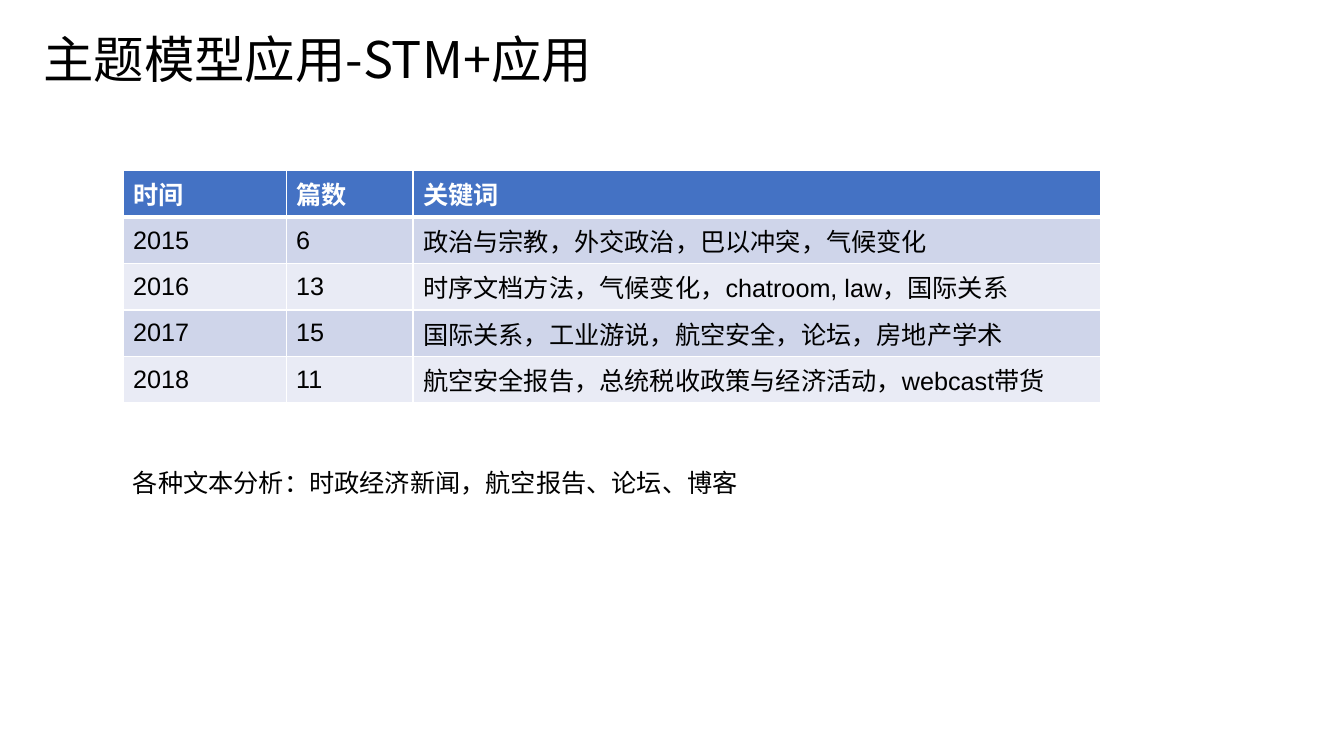
import lxml.etree
import pptx
import pptx.dml.color
import pptx.enum.text
import pptx.oxml.ns
import pptx.util

Cm = pptx.util.Cm
Pt = pptx.util.Pt
RGBColor = pptx.dml.color.RGBColor
qn = pptx.oxml.ns.qn
MIDDLE = pptx.enum.text.MSO_ANCHOR.MIDDLE

BLACK = RGBColor(0x00, 0x00, 0x00)
WHITE = RGBColor(0xFF, 0xFF, 0xFF)
HEADER_BLUE = RGBColor(0x44, 0x72, 0xC4)
BANDS = (RGBColor(0xCF, 0xD5, 0xEA), RGBColor(0xE9, 0xEB, 0xF5))

TOPICS = [
    ("时间", "篇数", "关键词"),
    ("2015", "6", "政治与宗教，外交政治，巴以冲突，气候变化"),
    ("2016", "13", "时序文档方法，气候变化，chatroom, law，国际关系"),
    ("2017", "15", "国际关系，工业游说，航空安全，论坛，房地产学术"),
    ("2018", "11", "航空安全报告，总统税收政策与经济活动，webcast带货"),
]


class TopicSlide:
    body_font = "Arial"
    chinese_font = "Noto Sans CJK SC"

    def __init__(self, deck):
        self.page = deck.slides.add_slide(deck.slide_layouts[6])

    def add_span(self, para, text, color=BLACK, **formats):
        span = para.add_run()
        span.text = text
        values = {"name": self.body_font, "size": Pt(18), "bold": False, **formats}
        for name, value in values.items():
            setattr(span.font, name, value)
        span.font.color.rgb = color
        properties = span._r.get_or_add_rPr()
        lxml.etree.SubElement(properties, qn("a:ea"), typeface=self.chinese_font)

    def text(self, left, top, width, height, text, frame=None, paragraph=None, **formats):
        box = self.page.shapes.add_textbox(Cm(left), Cm(top), Cm(width), Cm(height))
        para = box.text_frame.paragraphs[0]
        for target, values in (
            (box.text_frame, {"word_wrap": True, **(frame or {})}),
            (para, paragraph or {}),
        ):
            for name, value in values.items():
                setattr(target, name, value)
        self.add_span(para, text, **formats)

    def border(self, cell, side, width):
        line = lxml.etree.SubElement(
            cell._tc.get_or_add_tcPr(), qn(f"a:ln{side}"), w=str(Pt(width))
        )
        fill = lxml.etree.SubElement(line, qn("a:solidFill"))
        lxml.etree.SubElement(fill, qn("a:srgbClr"), val=str(WHITE))

    def table(self, left, top, widths, row_height, rows):
        table = self.page.shapes.add_table(
            len(rows), len(widths), Cm(left), Cm(top),
            Cm(sum(widths)), Cm(row_height * len(rows)),
        ).table
        for column, width in zip(table.columns, widths):
            column.width = Cm(width)
        for index, values in enumerate(rows):
            header = index == 0
            table.rows[index].height = Cm(row_height)
            for cell, value in zip(table.rows[index].cells, values):
                cell.vertical_anchor = MIDDLE
                for side in "LRTB":
                    thick = (header and side == "B") or (index == 1 and side == "T")
                    self.border(cell, side, 3 if thick else 1)
                cell.fill.solid()
                cell.fill.fore_color.rgb = HEADER_BLUE if header else BANDS[(index - 1) % 2]
                self.add_span(
                    cell.text_frame.paragraphs[0], value,
                    color=WHITE if header else BLACK, bold=header,
                )


def main():
    deck = pptx.Presentation()
    deck.slide_width = Cm(33.87)
    deck.slide_height = Cm(19.05)
    slide = TopicSlide(deck)
    slide.text(
        0.84, 0.38, 27.66, 2.36, "主题模型应用-STM+应用",
        frame={"vertical_anchor": MIDDLE}, paragraph={"line_spacing": 0.9},
        name=slide.chinese_font, size=Pt(36),
    )
    slide.table(3.1, 4.3, (4.11, 3.2, 17.32), 1.17, TOPICS)
    slide.text(3.1, 11.66, 20.5, 1.02, "各种文本分析：时政经济新闻，航空报告、论坛、博客")
    deck.save("out.pptx")


if __name__ == "__main__":
    main()
